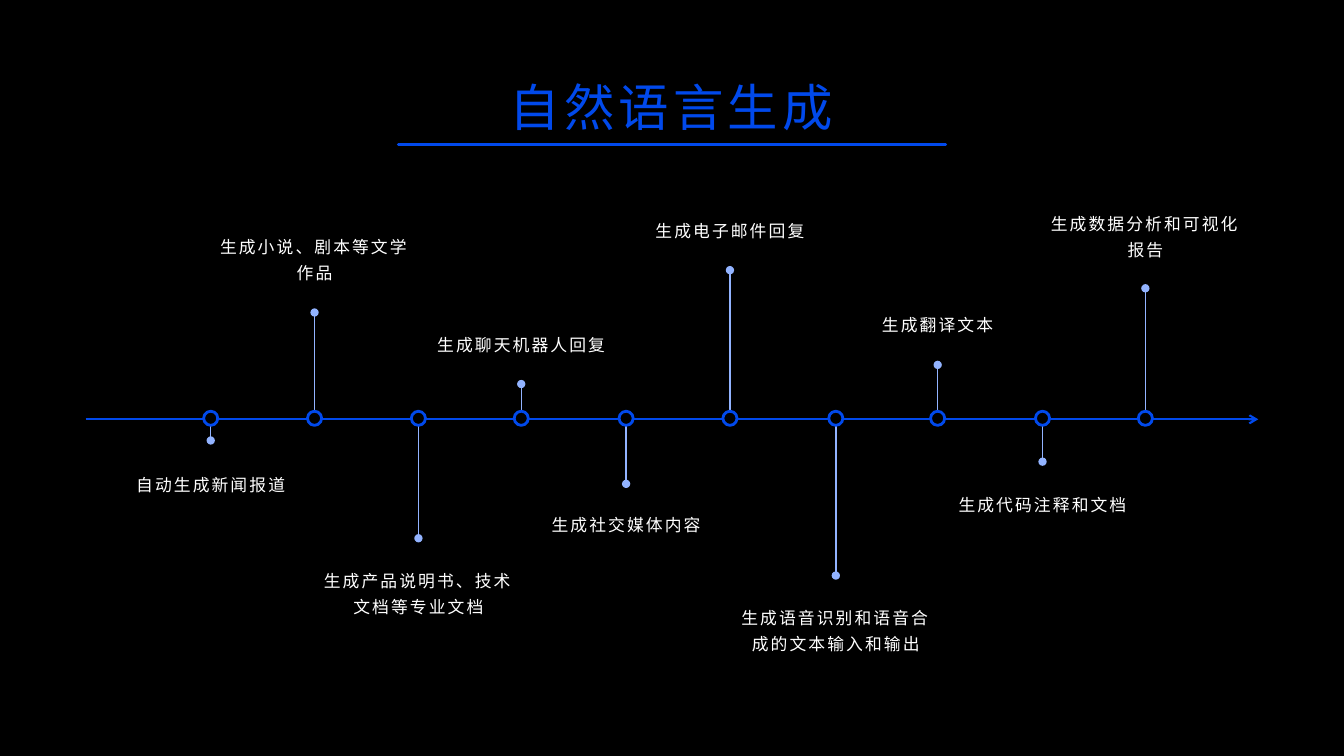
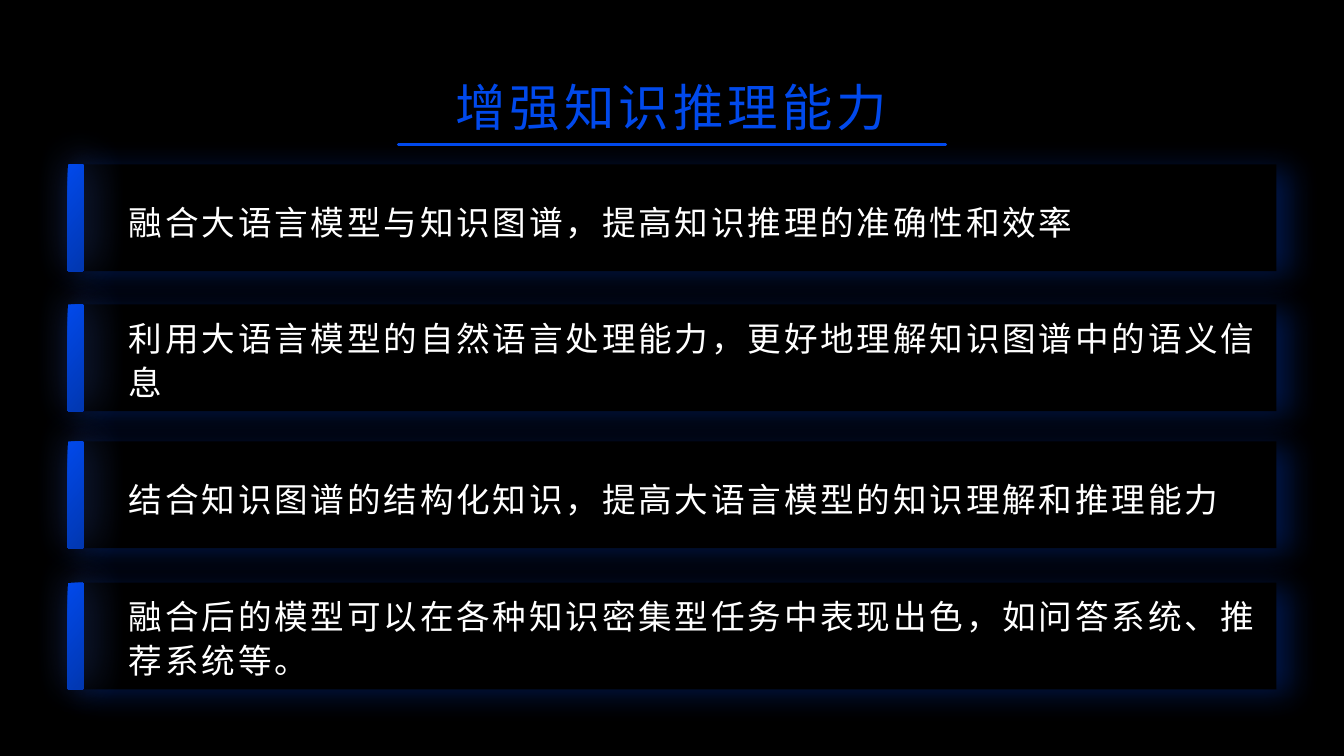
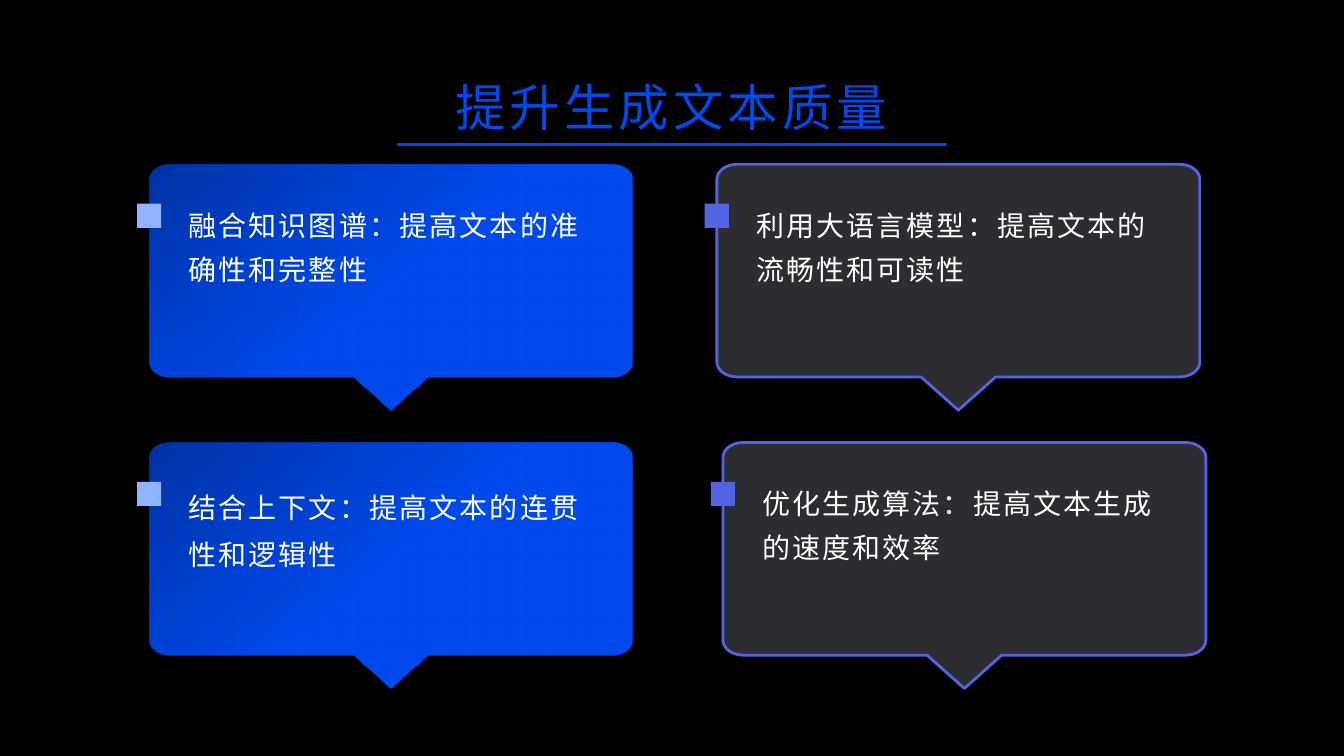
import lxml.etree
import pptx
import pptx.dml.color
import pptx.enum.shapes
import pptx.enum.text
import pptx.oxml.ns
import pptx.util

Inches = pptx.util.Inches
Pt = pptx.util.Pt
qn = pptx.oxml.ns.qn
SHAPES = pptx.enum.shapes.MSO_SHAPE
ALIGN = pptx.enum.text.PP_ALIGN
ANCHOR = pptx.enum.text.MSO_ANCHOR

BLACK = "000000"
WHITE = "FFFFFF"
BLUE = "0149EB"
DEEP_BLUE = "0137B0"
LIGHT_BLUE = "92B3FF"
GLOW_BLUE = "4575F0"
INDIGO = "5364E3"
MIST = "DDE0F9"


def color(value):
    return pptx.dml.color.RGBColor.from_string(value)


def add_xml(parent, tag, **attributes):
    element = lxml.etree.SubElement(parent, qn(tag))
    for name, value in attributes.items():
        element.set(name, str(value))
    return element


def add_color_xml(parent, value, opacity=100):
    element = add_xml(parent, "a:srgbClr", val=value)
    if opacity < 100:
        add_xml(element, "a:alpha", val=opacity * 1000)


def fill_solid(shape, value, opacity=100):
    shape.fill.solid()
    shape.fill.fore_color.rgb = color(value)
    if opacity < 100:
        target = shape.element.spPr.find(qn("a:solidFill")).find(qn("a:srgbClr"))
        add_xml(target, "a:alpha", val=opacity * 1000)


def fill_gradient(shape, stops, clockwise_angle):
    shape.fill.gradient()
    shape.fill.gradient_angle = 360 - clockwise_angle
    stop_list = shape.element.spPr.find(qn("a:gradFill")).find(qn("a:gsLst"))
    for old_stop in list(stop_list):
        stop_list.remove(old_stop)
    for position, value, opacity in stops:
        stop = add_xml(stop_list, "a:gs", pos=position * 1000)
        add_color_xml(stop, value, opacity)


def set_outline(shape, value=None, width=0):
    if value is None:
        shape.line.fill.background()
    else:
        shape.line.color.rgb = color(value)
        shape.line.width = Pt(width)


def add_glow(shape, value, opacity, blur, distance, direction):
    effects = shape.element.spPr.find(qn("a:effectLst"))
    shadow = add_xml(effects, "a:outerShdw", blurRad=Pt(blur), dist=Pt(distance),
                     dir=direction * 60000, algn="ctr", rotWithShape=0)
    add_color_xml(shadow, value, opacity)


def add_box(slide, kind, left, top, width, height):
    shape = slide.shapes.add_shape(
        kind, Inches(left), Inches(top), Inches(width), Inches(height))
    shape.shadow.inherit = False
    set_outline(shape)
    return shape


def add_line(slide, start, end, value, width, tail=None, cap="flat"):
    connector = slide.shapes.add_connector(
        pptx.enum.shapes.MSO_CONNECTOR.STRAIGHT,
        *[Inches(length) for length in (*start, *end)])
    set_outline(connector, value, width)
    properties = connector.element.spPr
    outline = properties.find(qn("a:ln"))
    outline.set("cap", cap)
    if tail:
        add_xml(outline, "a:tailEnd", type=tail)
    add_xml(properties, "a:effectLst")


def add_text(slide, text, left, top, width, height, size, value=WHITE, font="Roboto",
             tracking=1.5, spacing=1.0, align=ALIGN.LEFT, anchor=ANCHOR.TOP,
             insets=(0.1, 0.05, 0.1, 0.05)):
    box = slide.shapes.add_textbox(
        Inches(left), Inches(top), Inches(width), Inches(height))
    frame = box.text_frame
    frame.word_wrap = True
    frame.vertical_anchor = anchor
    (frame.margin_left, frame.margin_top,
     frame.margin_right, frame.margin_bottom) = [Inches(inset) for inset in insets]
    paragraph = frame.paragraphs[0]
    paragraph.alignment = align
    paragraph.line_spacing = spacing
    run = paragraph.add_run()
    run.text = text
    run.font.name = font
    run.font.size = Pt(size)
    run.font.color.rgb = color(value)
    run.font._element.set("spc", str(int(tracking * 100)))


def add_titled_slide(presentation, title):
    slide = presentation.slides.add_slide(presentation.slide_layouts[6])
    add_line(slide, (3.95, 1.43), (9.38, 1.43), BLUE, 2, cap="rnd")
    add_text(slide, title, 0.66, 0.67, 12, 0.77, 36, BLUE, tracking=3,
             align=ALIGN.CENTER, anchor=ANCHOR.MIDDLE)
    return slide


def add_milestone(slide, center, axis, stem_end, label_top, label):
    add_line(slide, (center, axis), (center, stem_end), LIGHT_BLUE, 1, "oval")
    width = 1.91
    above = stem_end < axis
    add_text(slide, label, center - width / 2, label_top, width,
             0.76 if above else 0.87, 12, spacing=1.3, align=ALIGN.CENTER,
             anchor=ANCHOR.BOTTOM if above else ANCHOR.TOP, insets=(0, 0, 0, 0))


def add_node(slide, center, axis):
    diameter = 0.14
    node = add_box(slide, SHAPES.OVAL, center - diameter / 2, axis - 0.01 - diameter / 2,
                   diameter, diameter)
    fill_solid(node, BLACK)
    set_outline(node, BLUE, 2)


def build_timeline(presentation):
    slide = add_titled_slide(presentation, "自然语言生成")
    axis = 4.16
    milestones = [
        (2.09, 4.37, 4.65, "自动生成新闻报道"),
        (3.12, 3.10, 2.05, "生成小说、剧本等文学作品"),
        (4.15, 5.34, 5.60, "生成产品说明书、技术文档等专业文档"),
        (5.17, 3.81, 2.76, "生成聊天机器人回复"),
        (6.21, 4.80, 5.05, "生成社交媒体内容"),
        (7.24, 2.68, 1.63, "生成电子邮件回复"),
        (8.29, 5.71, 5.97, "生成语音识别和语音合成的文本输入和输出"),
        (9.30, 3.62, 2.56, "生成翻译文本"),
        (10.34, 4.58, 4.85, "生成代码注释和文档"),
        (11.36, 2.86, 1.82, "生成数据分析和可视化报告"),
    ]
    for center, stem_end, label_top, label in milestones:
        add_milestone(slide, center, axis, stem_end, label_top, label)
    add_line(slide, (0.85, axis), (12.48, axis), BLUE, 1.5, "arrow")
    for center, *_ in milestones:
        add_node(slide, center, axis)


def add_glowing_panel(slide, left, top, width, height):
    panel = add_box(slide, SHAPES.RECTANGLE, left, top, width, height)
    fill_solid(panel, BLACK)
    add_glow(panel, BLUE, 30, 22, 9, 17)
    bar = add_box(slide, SHAPES.ROUNDED_RECTANGLE, left, top, 0.16, height)
    bar.adjustments[0] = 0.08
    fill_gradient(bar, [(0, BLUE, 100), (100, DEEP_BLUE, 100)], 40)
    add_glow(bar, GLOW_BLUE, 45, 30, 5, 315)


def build_reasoning(presentation):
    slide = add_titled_slide(presentation, "增强知识推理能力")
    left, width, height, indent = 0.67, 11.99, 1.06, 0.51
    one_line, two_lines = (1.2, 0), (1.1, 0.1)
    rows = [
        (1.63, one_line, "融合大语言模型与知识图谱，提高知识推理的准确性和效率"),
        (3.02, two_lines, "利用大语言模型的自然语言处理能力，更好地理解知识图谱中的语义信息"),
        (4.38, one_line, "结合知识图谱的结构化知识，提高大语言模型的知识理解和推理能力"),
        (5.78, two_lines, "融合后的模型可以在各种知识密集型任务中表现出色，如问答系统、推荐系统等。"),
    ]
    for top, _, _ in rows:
        add_glowing_panel(slide, left, top, width, height)
    for top, (spacing, right_inset), text in rows:
        add_text(slide, text, left + indent, top, width - indent, height, 24,
                 tracking=2, spacing=spacing, anchor=ANCHOR.MIDDLE,
                 insets=(0.1, 0.05, right_inset, 0.05))


def corner_curve(start, corner, end):
    pull = 0.55
    controls = [tuple(a + (b - a) * pull for a, b in zip(point, corner))
                for point in (start, end)]
    return [*controls, end]


def add_bubble(slide, left, top, width, body_height, tip_height):
    radius_x, radius_y, half_tip = 0.2, 0.15, 0.37
    right, bottom, middle = left + width, top + body_height, left + width / 2
    inner_left, inner_right = left + radius_x, right - radius_x
    inner_top, inner_bottom = top + radius_y, bottom - radius_y
    start = (inner_left, top)
    segments = [
        [(inner_right, top)],
        corner_curve((inner_right, top), (right, top), (right, inner_top)),
        [(right, inner_bottom)],
        corner_curve((right, inner_bottom), (right, bottom), (inner_right, bottom)),
        [(middle + half_tip, bottom)],
        [(middle, bottom + tip_height)],
        [(middle - half_tip, bottom)],
        [(inner_left, bottom)],
        corner_curve((inner_left, bottom), (left, bottom), (left, inner_bottom)),
        [(left, inner_top)],
        corner_curve((left, inner_top), (left, top), start),
    ]
    builder = slide.shapes.build_freeform(Inches(start[0]), Inches(start[1]))
    builder.add_line_segments(
        [(Inches(x), Inches(y)) for segment in segments for x, y in segment], close=True)
    bubble = builder.convert_to_shape()
    outline = next(bubble.element.iter(qn("a:path")))
    lines = iter(outline.findall(qn("a:lnTo")))
    for segment in segments:
        pieces = [next(lines) for _ in segment]
        if len(pieces) == 3:
            curve = lxml.etree.Element(qn("a:cubicBezTo"))
            pieces[0].addprevious(curve)
            for piece in pieces:
                curve.append(piece.find(qn("a:pt")))
                outline.remove(piece)
    bubble.shadow.inherit = False
    return bubble


def add_callout(slide, left, top, text, filled, spacing):
    bubble = add_bubble(slide, left, top, 4.79, 2.11, 0.33)
    if filled:
        fill_gradient(bubble, [(0, BLUE, 70), (50, BLUE, 100)], 50)
        set_outline(bubble)
    else:
        fill_solid(bubble, MIST, 20)
        set_outline(bubble, INDIGO, 2)
    marker = add_box(slide, SHAPES.RECTANGLE, left - 0.12, top + 0.39, 0.24, 0.24)
    fill_solid(marker, LIGHT_BLUE if filled else INDIGO)
    add_text(slide, text, left + 0.29, top + 0.29, 4.21, 1.38, 20,
             font="Arial", spacing=spacing)


def build_quality(presentation):
    slide = add_titled_slide(presentation, "提升生成文本质量")
    callouts = [
        (1.48, 1.63, "融合知识图谱：提高文本的准确性和完整性", True, 1.3),
        (7.11, 1.63, "利用大语言模型：提高文本的流畅性和可读性", False, 1.3),
        (1.48, 4.39, "结合上下文：提高文本的连贯性和逻辑性", True, 1.4),
        (7.17, 4.39, "优化生成算法：提高文本生成的速度和效率", False, 1.3),
    ]
    for callout in callouts:
        add_callout(slide, *callout)


def main():
    presentation = pptx.Presentation()
    presentation.slide_width = Inches(13.33)
    presentation.slide_height = Inches(7.5)
    background = presentation.slide_master.background.fill
    background.solid()
    background.fore_color.rgb = color(BLACK)
    build_timeline(presentation)
    build_reasoning(presentation)
    build_quality(presentation)
    presentation.save("out.pptx")


if __name__ == "__main__":
    main()
